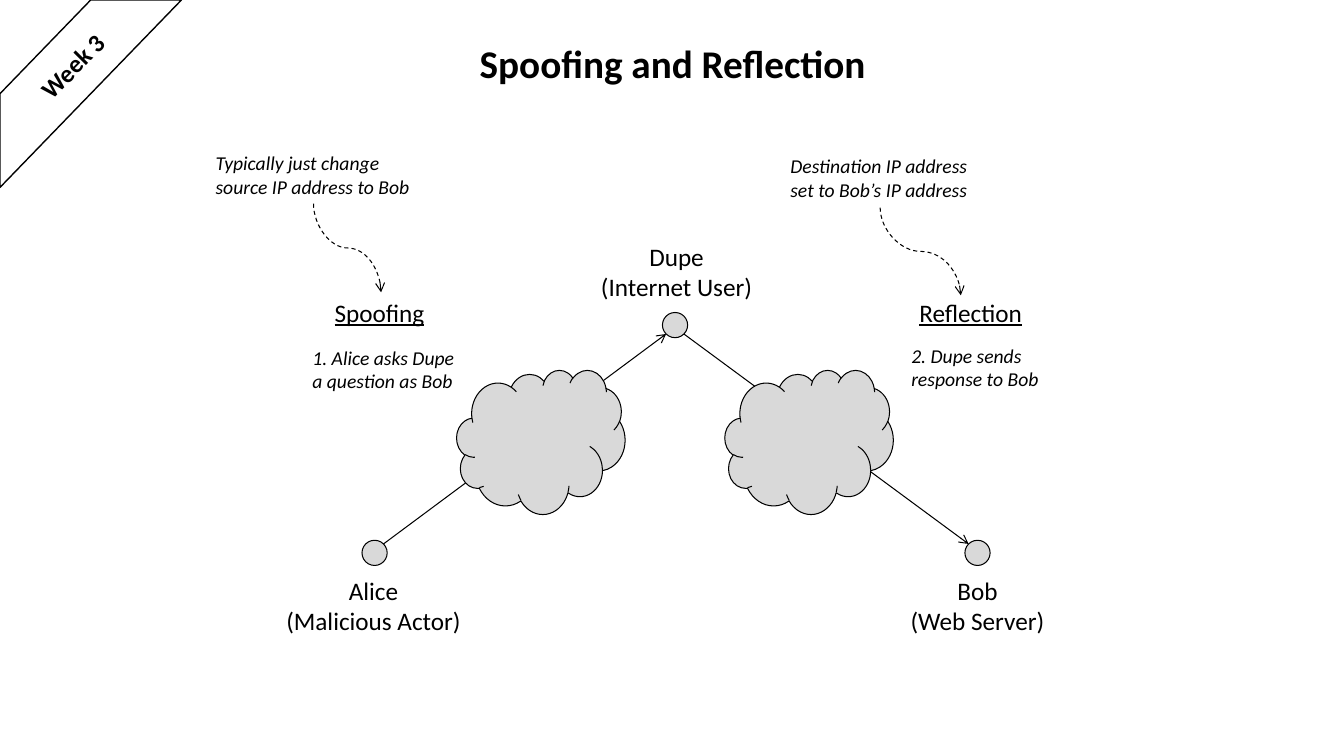
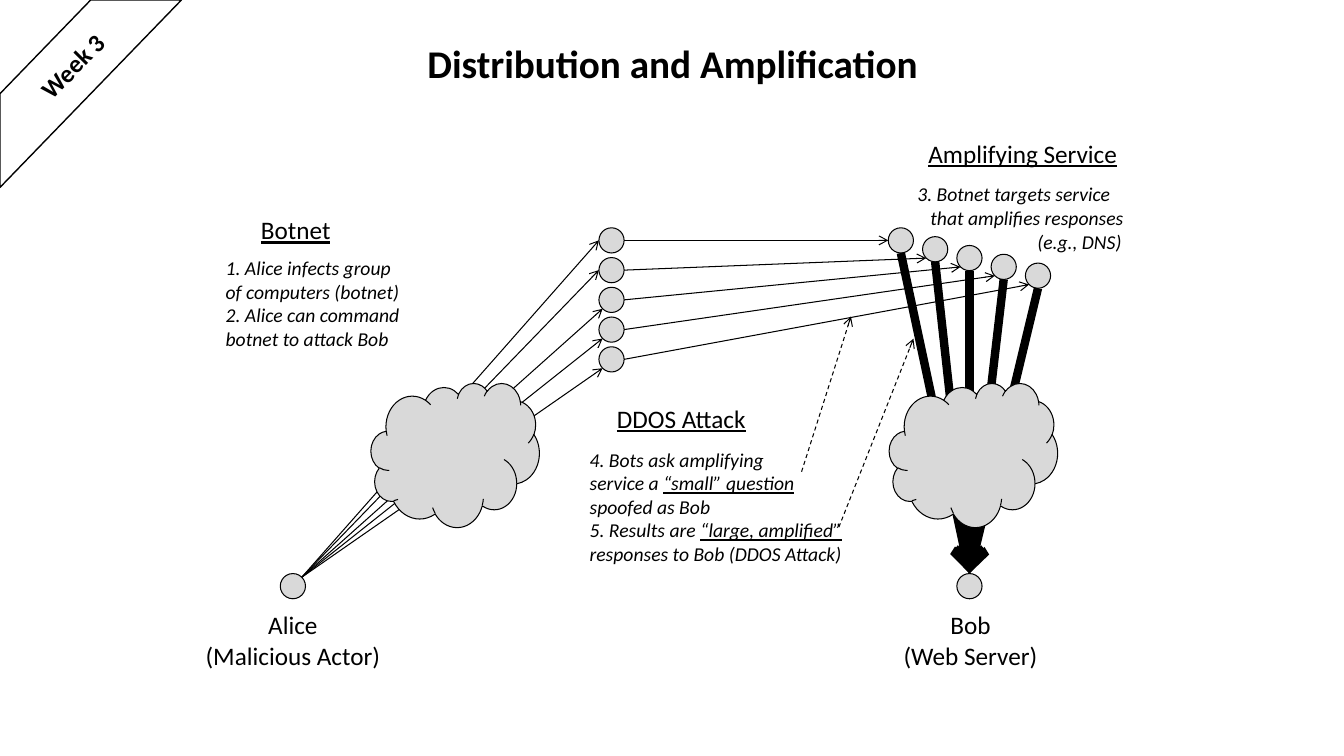
import math
from dataclasses import dataclass
from typing import NamedTuple

from lxml import etree
from pptx import Presentation
from pptx.dml.color import RGBColor
from pptx.enum.dml import MSO_LINE
from pptx.enum.shapes import MSO_CONNECTOR, MSO_SHAPE
from pptx.enum.text import MSO_ANCHOR, MSO_AUTO_SIZE, PP_ALIGN
from pptx.oxml.ns import qn
from pptx.util import Inches, Pt

CENTER, LEFT = PP_ALIGN.CENTER, PP_ALIGN.LEFT
MIDDLE, TOP = MSO_ANCHOR.MIDDLE, MSO_ANCHOR.TOP
STRAIGHT, CURVE = MSO_CONNECTOR.STRAIGHT, MSO_CONNECTOR.CURVE
CLOUD, ELLIPSE, STRIPE = MSO_SHAPE.CLOUD, MSO_SHAPE.OVAL, MSO_SHAPE.DIAGONAL_STRIPE
DASH = MSO_LINE.DASH
FIT_TEXT, NO_FIT = MSO_AUTO_SIZE.SHAPE_TO_FIT_TEXT, MSO_AUTO_SIZE.NONE

BLACK, GREY, WHITE = "000000", "D9D9D9", "FFFFFF"
FONT = "Calibri"
NODE_SIZE = 0.25
CLOUD_WIDTH, CLOUD_HEIGHT = 1.67, 1.43
THIN, THICK = 0.75, 6

# Directions around a node, in degrees clockwise from the right
RIGHT_SIDE, LOWER_RIGHT, BOTTOM, LOWER_LEFT = 0, 45, 90, 135
LEFT_SIDE, TOP_SIDE, UPPER_RIGHT, UPPER_LEFT = 180, 270, 315, 225

TITLE = {"size": Pt(28), "bold": True}
BADGE = {"size": Pt(18), "bold": True}
LABEL = {"size": Pt(18)}
HEADING = {"size": Pt(18), "underline": True}
NOTE = {"size": Pt(14), "italic": True}


class Point(NamedTuple):
    x: float
    y: float


@dataclass
class Node:
    left: float
    top: float

    def site(self, degrees: float) -> Point:
        """Point on the circle in the given direction."""
        radius, angle = NODE_SIZE / 2, math.radians(degrees)
        return Point(self.left + radius + radius * math.cos(angle),
                     self.top + radius + radius * math.sin(angle))


@dataclass
class Text:
    """Lines of text; parts between underscores are underlined."""
    left: float
    top: float
    width: float
    height: float
    lines: tuple[str, ...]
    style: dict
    align: PP_ALIGN = LEFT
    anchor: MSO_ANCHOR = TOP
    wrap: bool = False
    rotation: float = 0
    indents: tuple[float, ...] = ()


def color(value: str) -> RGBColor:
    return RGBColor.from_string(value)


def add_text(slide, text: Text) -> None:
    box = slide.shapes.add_textbox(Inches(text.left), Inches(text.top),
                                   Inches(text.width), Inches(text.height))
    box.rotation = text.rotation
    frame = box.text_frame
    settings = {"word_wrap": text.wrap, "vertical_anchor": text.anchor,
                "auto_size": NO_FIT if text.wrap else FIT_TEXT}
    for name, value in settings.items():
        setattr(frame, name, value)
    for index, line in enumerate(text.lines):
        paragraph = frame.add_paragraph() if index else frame.paragraphs[0]
        paragraph.alignment = text.align
        if text.indents and text.indents[index]:
            properties = paragraph._p.get_or_add_pPr()
            properties.set("marL", str(Inches(text.indents[index])))
            properties.set("indent", "0")
        for part_index, part in enumerate(line.split("_")):
            if not part:
                continue
            run = paragraph.add_run()
            run.text = part
            style = {"name": FONT, **text.style}
            if part_index % 2:
                style["underline"] = True
            for name, value in style.items():
                setattr(run.font, name, value)
            run.font.color.rgb = color(BLACK)


def add_outlined(slide, kind: MSO_SHAPE, left: float, top: float, width: float,
                 height: float, fill: str = GREY, line_width: float = THIN) -> None:
    shape = slide.shapes.add_shape(kind, Inches(left), Inches(top),
                                   Inches(width), Inches(height))
    shape.shadow.inherit = False
    shape.fill.solid()
    shape.fill.fore_color.rgb = color(fill)
    shape.line.color.rgb = color(BLACK)
    shape.line.width = Pt(line_width)


def add_nodes(slide, nodes: list[Node]) -> None:
    for node in nodes:
        add_outlined(slide, ELLIPSE, node.left, node.top, NODE_SIZE, NODE_SIZE)


def add_cloud(slide, left: float, top: float) -> None:
    add_outlined(slide, CLOUD, left, top, CLOUD_WIDTH, CLOUD_HEIGHT)


def add_arrow(slide, start: Point, end: Point, width: float = THIN,
              dashed: bool = False, kind: MSO_CONNECTOR = STRAIGHT):
    connector = slide.shapes.add_connector(
        kind, Inches(start.x), Inches(start.y), Inches(end.x), Inches(end.y))
    connector.line.color.rgb = color(BLACK)
    connector.line.width = Pt(width)
    if dashed:
        connector.line.dash_style = DASH
    properties = connector._element.spPr
    etree.SubElement(properties.find(qn("a:ln")), qn("a:tailEnd"), type="arrow")
    etree.SubElement(properties, qn("a:effectLst"))
    return connector


def add_curved_arrow(slide, start: Point, end: Point) -> None:
    """Dashed S-curve that leaves and arrives vertically, by a quarter turn."""
    middle_x, middle_y = (start.x + end.x) / 2, (start.y + end.y) / 2
    half_width, half_height = (end.y - start.y) / 2, (end.x - start.x) / 2
    connector = add_arrow(slide,
                          Point(middle_x + half_width, middle_y - half_height),
                          Point(middle_x - half_width, middle_y + half_height),
                          dashed=True, kind=CURVE)
    connector._element.spPr.find(qn("a:xfrm")).set("rot", str(270 * 60000))


def add_slide(presentation, title: str):
    slide = presentation.slides.add_slide(presentation.slide_layouts[6])
    add_text(slide, Text(2.17, 0, 9, 1.25, (title,), TITLE, CENTER, MIDDLE, True))
    add_outlined(slide, STRIPE, 0, 0, 1.8, 1.86, WHITE, 1)
    add_text(slide, Text(0.23, 0.45, 0.98, 0.4, ("Week 3",), BADGE, rotation=314.8))
    return slide


def add_actors(slide, alice: Point, bob: Point) -> None:
    """Captions of the two end points, placed by their top left corners."""
    add_text(slide, Text(*alice, 1.95, 0.71, ("Alice", "(Malicious Actor)"), LABEL, CENTER))
    add_text(slide, Text(*bob, 1.55, 0.71, ("Bob", "(Web Server)"), LABEL, CENTER))


def build_spoofing(presentation) -> None:
    slide = add_slide(presentation, "Spoofing and Reflection")
    alice, dupe, bob = Node(3.59, 5.36), Node(6.57, 3.1), Node(9.57, 5.36)
    add_nodes(slide, [alice, dupe, bob])
    add_arrow(slide, alice.site(UPPER_RIGHT), dupe.site(LOWER_LEFT))
    add_arrow(slide, dupe.site(LOWER_RIGHT), bob.site(UPPER_LEFT))
    for left in (4.53, 7.19):
        add_cloud(slide, left, 3.67)
    add_actors(slide, Point(2.73, 5.66), Point(8.92, 5.66))
    for text in (
        Text(5.85, 2.34, 1.72, 0.71, ("Dupe", "(Internet User)"), LABEL, CENTER),
        Text(3.22, 2.9, 1.1, 0.4, ("Spoofing",), HEADING),
        Text(9.02, 2.9, 1.23, 0.4, ("Reflection",), HEADING),
        Text(3, 3.38, 1.67, 0.57, ("1. Alice asks Dupe", "a question as Bob"), NOTE),
        Text(8.94, 3.36, 1.47, 0.57, ("2. Dupe sends", "response to Bob"), NOTE),
        Text(2.04, 1.45, 2.14, 0.57,
             ("Typically just change", "source IP address to Bob"), NOTE),
        Text(7.74, 1.48, 1.98, 0.57,
             ("Destination IP address", "set to Bob’s IP address"), NOTE),
    ):
        add_text(slide, text)
    add_curved_arrow(slide, Point(3.11, 2.02), Point(3.78, 2.9))
    add_curved_arrow(slide, Point(8.73, 2.06), Point(9.53, 2.93))


def build_amplification(presentation) -> None:
    slide = add_slide(presentation, "Distribution and Amplification")
    alice, bob = Node(2.78, 5.69), Node(9.49, 5.69)
    bots = [Node(5.94, 2.26 + 0.295 * row) for row in range(5)]
    amplifiers = [Node(8.81 + 0.34 * column, 2.26 + 0.0875 * column) for column in range(5)]
    add_nodes(slide, [alice, bob, *bots, *amplifiers])
    for index, (bot, amplifier) in enumerate(zip(bots, amplifiers)):
        add_arrow(slide, alice.site(UPPER_RIGHT),
                  bot.site(LEFT_SIDE if index < 2 else LOWER_LEFT))
        add_arrow(slide, bot.site(RIGHT_SIDE),
                  amplifier.site(LOWER_LEFT if index else LEFT_SIDE))
        add_arrow(slide, amplifier.site(BOTTOM), bob.site(TOP_SIDE), THICK)
    for left in (3.68, 8.82):
        add_cloud(slide, left, 3.8)
    add_actors(slide, Point(1.93, 6), Point(8.85, 6))
    for text in (
        Text(2.49, 2.08, 0.93, 0.4, ("Botnet",), HEADING),
        Text(9.11, 1.32, 2.1, 0.4, ("Amplifying Service",), HEADING),
        Text(6.02, 3.95, 1.5, 0.4, ("DDOS Attack",), HEADING),
        Text(2.14, 2.49, 1.94, 1.04,
             ("1. Alice infects group", "of computers (botnet)",
              "2. Alice can command", "botnet to attack Bob"), NOTE),
        Text(9, 1.76, 2.27, 0.81,
             ("3. Botnet targets service", "that amplifies responses", "(e.g., DNS)"),
             NOTE, indents=(0, 0.13, 1.19)),
        Text(5.75, 4.39, 2.77, 1.28,
             ("4. Bots ask amplifying", "service a _“small” question_", "spoofed as Bob",
              "5. Results are _“large, amplified”_", "responses to Bob (DDOS Attack)"),
             NOTE),
    ):
        add_text(slide, text)
    add_arrow(slide, Point(7.95, 4.68), Point(8.44, 3.14), dashed=True)
    add_arrow(slide, Point(8.32, 5.23), Point(9.06, 3.36), dashed=True)


def main() -> None:
    presentation = Presentation()
    presentation.slide_width = Inches(13.33)
    presentation.slide_height = Inches(7.5)
    build_spoofing(presentation)
    build_amplification(presentation)
    presentation.save("out.pptx")


if __name__ == "__main__":
    main()
